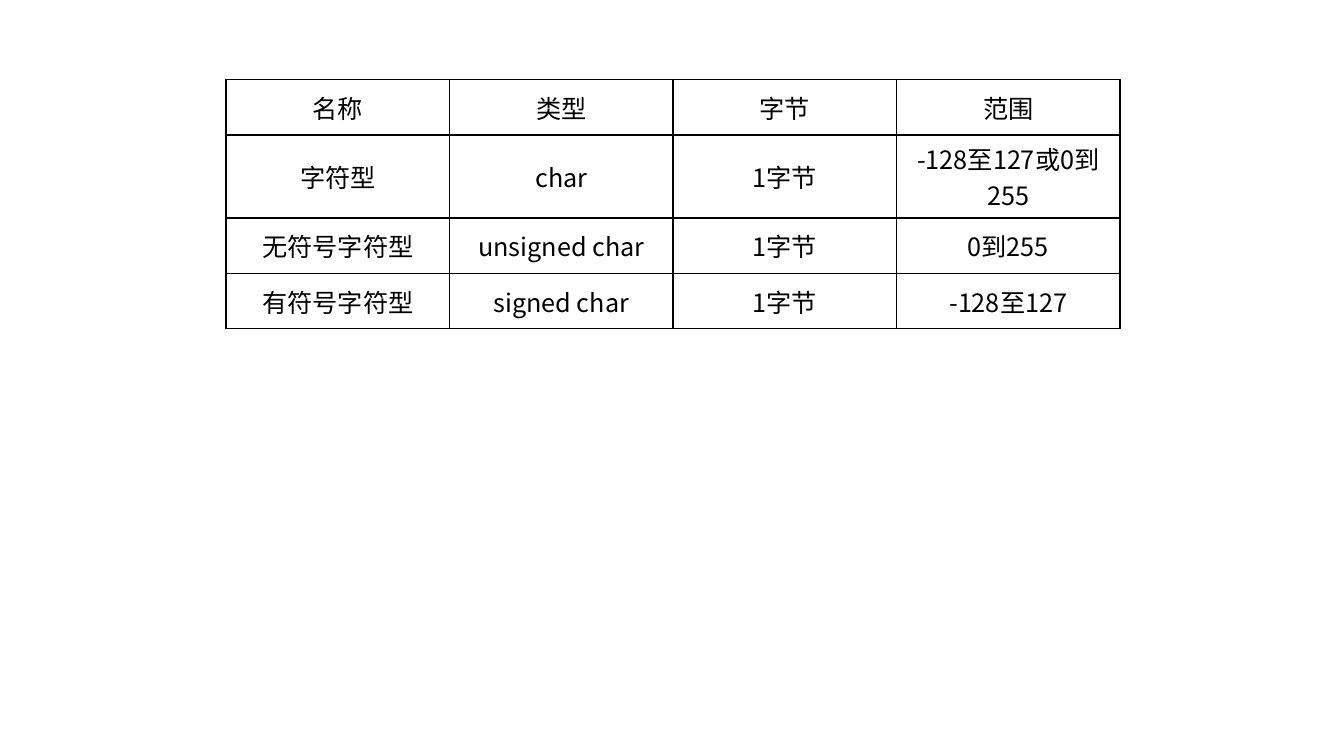
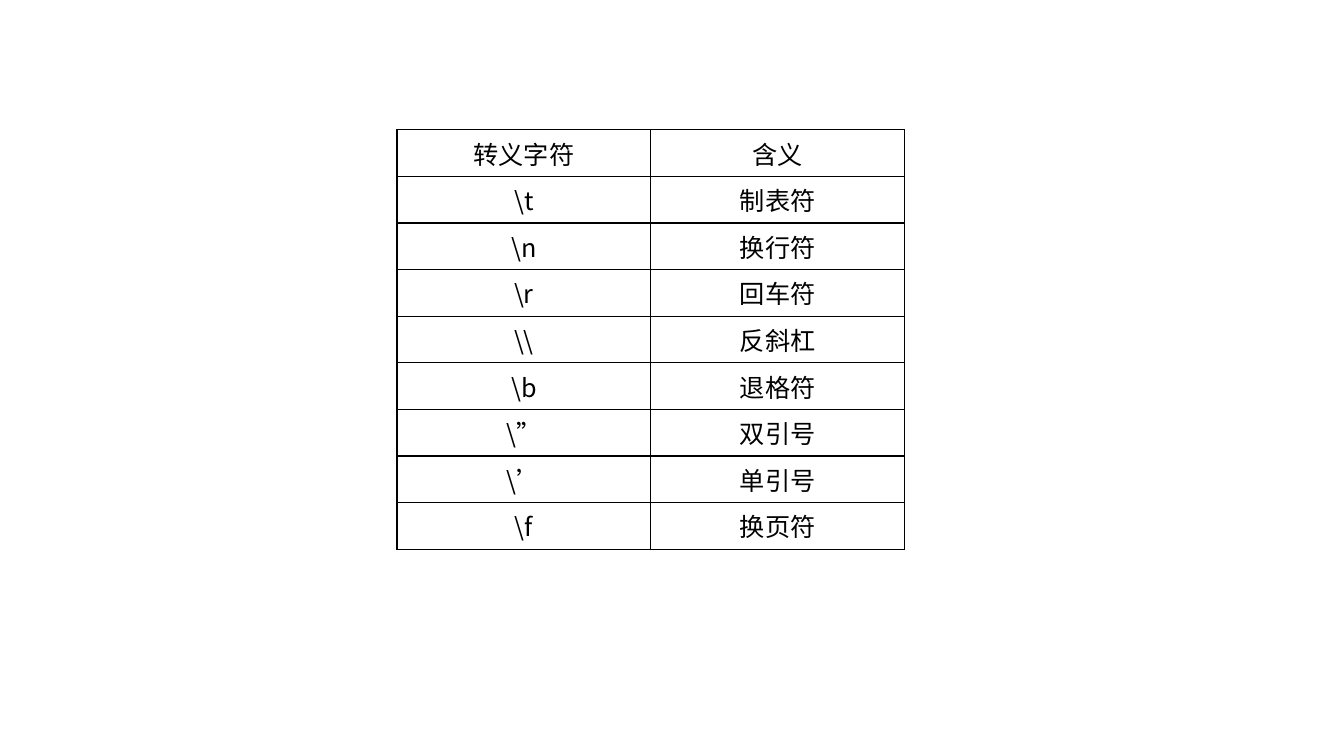
from dataclasses import dataclass

from lxml import etree
from pptx import Presentation
from pptx.dml.color import RGBColor
from pptx.enum.lang import MSO_LANGUAGE_ID
from pptx.enum.text import MSO_ANCHOR, PP_ALIGN
from pptx.oxml.ns import qn
from pptx.slide import Slide
from pptx.table import _Cell
from pptx.util import Inches, Pt

WIDE, HIGH = Inches(13.33), Inches(7.5)
BLACK = RGBColor(0x00, 0x00, 0x00)
FONT = "Noto Sans CJK SC"
SIZE = Pt(18)
EDGE = Pt(1)
SIDES = ("a:lnL", "a:lnR", "a:lnT", "a:lnB")
CENTER = PP_ALIGN.CENTER
TOP, MIDDLE = MSO_ANCHOR.TOP, MSO_ANCHOR.MIDDLE
CHINESE = MSO_LANGUAGE_ID.SIMPLIFIED_CHINESE
BLANK = 6


@dataclass(frozen=True)
class Sheet:
    """A table; lengths are in percent of the slide's width or height."""
    left: float
    top: float
    col: float
    row: float
    anchor: MSO_ANCHOR
    rows: tuple[tuple[str, ...], ...]


TYPES = Sheet(16.82, 10.53, 16.63, 7.33, MIDDLE, (
    ("名称", "类型", "字节", "范围"),
    ("字符型", "char", "1字节", "-128至127或0到255"),
    ("无符号字符型", "unsigned char", "1字节", "0到255"),
    ("有符号字符型", "signed char", "1字节", "-128至127"),
))
ESCAPES = Sheet(29.54, 17.17, 18.88, 5.41, TOP, (
    ("转义字符", "含义"),
    (r"\t", "制表符"),
    (r"\n", "换行符"),
    (r"\r", "回车符"),
    (r"\\", "反斜杠"),
    (r"\b", "退格符"),
    (r"\”", "双引号"),
    (r"\’", "单引号"),
    (r"\f", "换页符"),
))


def share(part: float, whole: int) -> int:
    """Turn a percentage of a length into EMU."""
    return round(whole * part / 100)


def frame(cell: _Cell) -> None:
    """Draw a thin black border on all sides of a cell."""
    props = cell._tc.get_or_add_tcPr()
    for side in SIDES:
        line = etree.SubElement(props, qn(side), w=str(EDGE))
        fill = etree.SubElement(line, qn("a:solidFill"))
        etree.SubElement(fill, qn("a:srgbClr"), val=str(BLACK))


def write(cell: _Cell, text: str, anchor: MSO_ANCHOR) -> None:
    """Put one centred run of text in a cell."""
    cell.vertical_anchor = anchor
    para = cell.text_frame.paragraphs[0]
    para.alignment = CENTER
    run = para.add_run()
    run.text = text
    font = run.font
    font.name, font.size, font.bold = FONT, SIZE, False
    font.color.rgb = BLACK
    font.language_id = CHINESE
    etree.SubElement(run._r.get_or_add_rPr(), qn("a:ea"), typeface=FONT)


def draw(slide: Slide, sheet: Sheet) -> None:
    """Add a plain ruled table to a slide."""
    rows, cols = len(sheet.rows), len(sheet.rows[0])
    wide, high = share(sheet.col, WIDE), share(sheet.row, HIGH)
    table = slide.shapes.add_table(
        rows, cols, share(sheet.left, WIDE), share(sheet.top, HIGH),
        wide * cols, high * rows).table
    table.first_row = table.horz_banding = False
    for y, texts in enumerate(sheet.rows):
        for x, text in enumerate(texts):
            cell = table.cell(y, x)
            frame(cell)
            cell.fill.background()
            write(cell, text, sheet.anchor)


def main() -> None:
    """Build one slide for each table."""
    deck = Presentation()
    deck.slide_width, deck.slide_height = WIDE, HIGH
    for sheet in (TYPES, ESCAPES):
        draw(deck.slides.add_slide(deck.slide_layouts[BLANK]), sheet)
    deck.save("out.pptx")


main()
